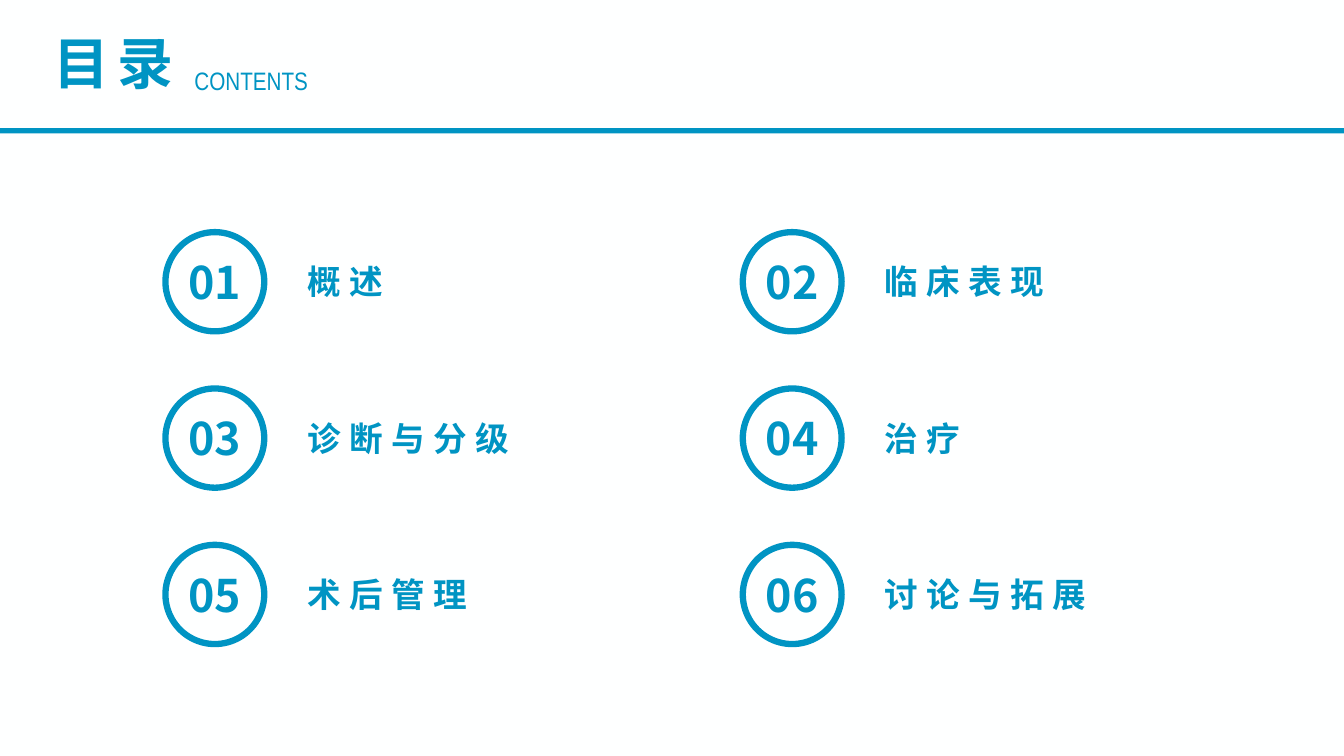
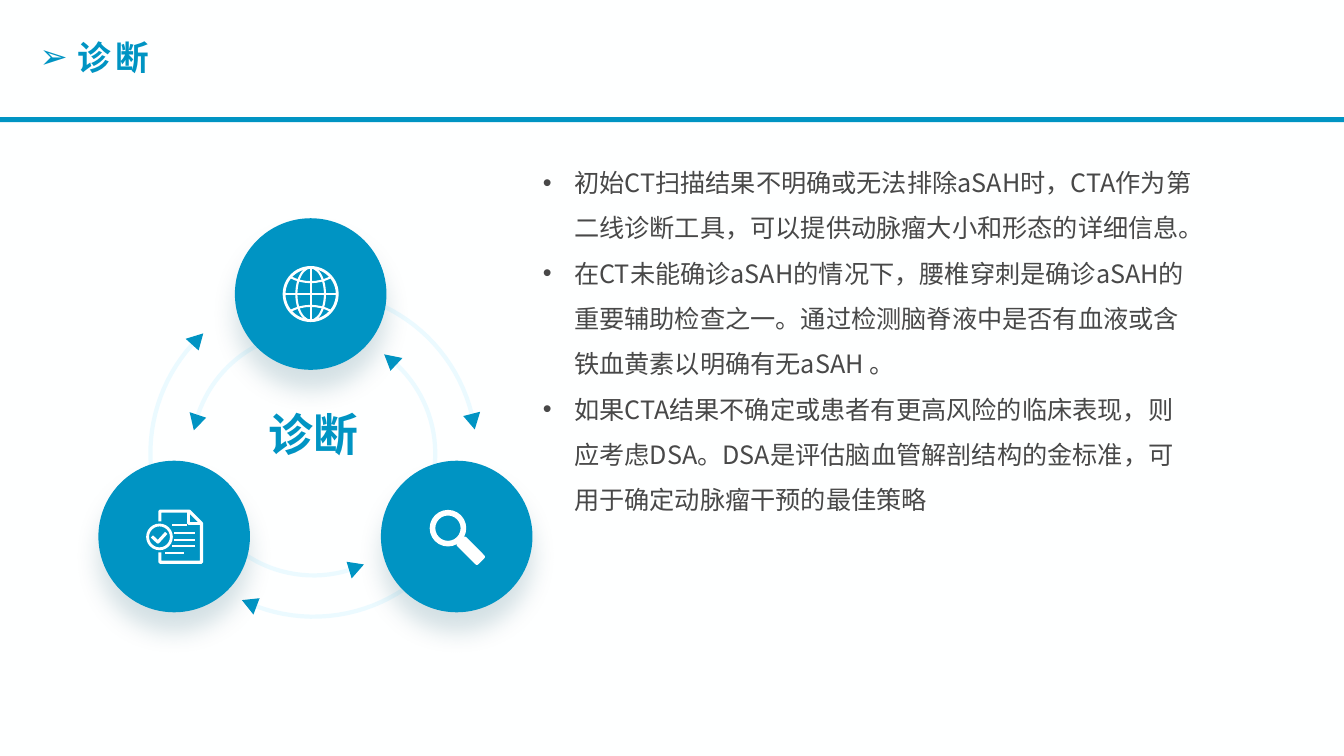
"""Build a contents slide and a diagnosis slide with a three-part cycle."""
import math

import lxml.etree
import pptx
import pptx.dml.color
import pptx.enum.shapes
import pptx.enum.text
import pptx.oxml.ns
import pptx.util

Cm = pptx.util.Cm
Pt = pptx.util.Pt
qn = pptx.oxml.ns.qn
rgb = pptx.dml.color.RGBColor.from_string
SHAPE = pptx.enum.shapes.MSO_SHAPE
ALIGN = pptx.enum.text.PP_ALIGN
ANCHOR = pptx.enum.text.MSO_ANCHOR

BLUE, WHITE, PALE, GREY = "0094C3", "FEFFFF", "C0F0FF", "484848"
SANS = "Noto Sans CJK SC"


def paint(sp, fill=None, line=None, width=1.0):
    """Set fill and outline, and remove the theme shadow."""
    sp.shadow.inherit = False
    if fill:
        sp.fill.solid()
        sp.fill.fore_color.rgb = rgb(fill)
    else:
        sp.fill.background()
    if line:
        sp.line.color.rgb = rgb(line)
        sp.line.width = Pt(width)
    else:
        sp.line.fill.background()
    return sp


def write(sp, *texts, size=24, color=BLUE, bold=True, font=SANS, spc=0,
          align=ALIGN.LEFT, bullet=None, indent=0.0, spacing=1.0):
    """Write one paragraph per text into a shape."""
    tf = sp.text_frame
    tf.word_wrap = True
    for i, text in enumerate(texts):
        p = tf.add_paragraph() if i else tf.paragraphs[0]
        if bullet:
            pPr = p._p.get_or_add_pPr()
            pPr.set("marL", str(Cm(indent)))
            pPr.set("indent", str(-Cm(indent)))
            lxml.etree.SubElement(pPr, qn("a:buFont"), typeface="Arial")
            lxml.etree.SubElement(pPr, qn("a:buChar"), char=bullet)
        p.alignment = align
        p.line_spacing = spacing
        r = p.add_run()
        r.text = text
        r.font.size = Pt(size)
        r.font.bold = bold
        r.font.name = font
        r.font.color.rgb = rgb(color)
        rPr = r._r.get_or_add_rPr()
        rPr.set("spc", str(spc * 100))
        lxml.etree.SubElement(rPr, qn("a:ea"), typeface=font)


prs = pptx.Presentation()
prs.slide_width, prs.slide_height = Cm(33.87), Cm(19.05)
background = prs.slide_master.background.fill
background.solid()
background.fore_color.rgb = rgb(WHITE)
for bar_y in (3.23, 2.95):
    s = prs.slides.add_slide(prs.slide_layouts[6])
    paint(s.shapes.add_shape(SHAPE.RECTANGLE, 0, Cm(bar_y), prs.slide_width, Cm(0.13)), BLUE)
contents, diagnosis = prs.slides

s = contents
write(s.shapes.add_textbox(Cm(1.09), Cm(0.6), Cm(4), Cm(1.96)), "目录", size=40, spc=6)
write(s.shapes.add_textbox(Cm(4.65), Cm(1.52), Cm(4.5), Cm(1.02)), "CONTENTS",
      size=18, bold=False, font="Arial Narrow")
topics = ["概述", "临床表现", "诊断与分级", "治疗", "术后管理", "讨论与拓展"]
for i, topic in enumerate(topics):
    row, col = divmod(i, 2)
    x, y = 4.17 + 14.55 * col, 5.85 + 3.94 * row
    sp = paint(s.shapes.add_shape(SHAPE.OVAL, Cm(x), Cm(y), Cm(2.49), Cm(2.5)), WHITE, BLUE, 4.5)
    tf = sp.text_frame
    tf.margin_left = tf.margin_right = tf.margin_top = tf.margin_bottom = 0
    tf.vertical_anchor = ANCHOR.MIDDLE
    write(sp, f"{i + 1:02d}", size=32, align=ALIGN.CENTER)
    write(s.shapes.add_textbox(Cm(x + 3.32), Cm(y + 0.61), Cm(8.28), Cm(1.27)), topic, spc=6)

s = diagnosis
write(s.shapes.add_textbox(Cm(0.75), Cm(0.81), Cm(9.63), Cm(1.27)), "诊断",
      spc=3, bullet="➢", indent=0.96)
write(s.shapes.add_textbox(Cm(5.99), Cm(10.12), Cm(3.81), Cm(1.63)), "诊断",
      size=32, align=ALIGN.CENTER)
write(s.shapes.add_textbox(Cm(13.43), Cm(3.71), Cm(16.94), Cm(10.64)),
      "初始CT扫描结果不明确或无法排除aSAH时，CTA作为第二线诊断工具，可以提供动脉瘤大小和形态的详细信息。",
      "在CT未能确诊aSAH的情况下，腰椎穿刺是确诊aSAH的重要辅助检查之一。通过检测脑脊液中是否有血液或含铁血黄素以明确有无aSAH 。",
      "如果CTA结果不确定或患者有更高风险的临床表现，则应考虑DSA。DSA是评估脑血管解剖结构的金标准，可用于确定动脉瘤干预的最佳策略",
      size=18, color=GREY, bold=False, bullet="•", indent=0.79, spacing=1.5)

cycle_x, cycle_y = 7.9, 11.43
arrows = [(4.11, 270, 351.5), (4.11, 33, 116), (4.11, 148, 227.5),
          (3.07, 271, 191), (3.07, 387, 305.5), (3.07, 150, 65.5)]
steps = 24
for radius, tail, tip in arrows:
    turn = 1 if tip > tail else -1
    base = tip - turn * math.degrees(0.4 / radius)
    arc = [(radius, tail + (base - tail) * i / steps) for i in range(steps + 1)]
    head = [(radius - 0.22, base), (radius + 0.22, base), (radius, tip)]
    for outline in (arc, head):
        points = [(Cm(cycle_x + r * math.cos(math.radians(a))), Cm(cycle_y + r * math.sin(math.radians(a))))
                  for r, a in outline]
        path = s.shapes.build_freeform(*points[0])
        path.add_line_segments(points[1:], close=outline is head)
        sp = path.convert_to_shape()
        if outline is head:
            paint(sp, BLUE)
        else:
            paint(sp, line=PALE, width=3)
            tint = sp.line._ln.find(".//" + qn("a:srgbClr"))
            lxml.etree.SubElement(tint, qn("a:alpha"), val="29000")

globe, lens, report = (7.83, 7.41), (11.51, 13.52), (4.39, 13.52)
for x, y in (globe, lens, report):
    sp = paint(s.shapes.add_shape(SHAPE.OVAL, Cm(x - 1.91), Cm(y - 1.91), Cm(3.82), Cm(3.82)), BLUE)
    shadow = lxml.etree.SubElement(sp._element.spPr.find(qn("a:effectLst")), qn("a:outerShdw"),
                                   blurRad=str(Pt(17)), dist=str(Pt(14)), dir="5400000",
                                   algn="t", rotWithShape="0")
    tint = lxml.etree.SubElement(shadow, qn("a:srgbClr"), val="004A62")
    lxml.etree.SubElement(tint, qn("a:alpha"), val="17000")

rings = [(globe, 0, 0, 0.67, 0.67, 2), (globe, 0, 0, 0.36, 0.67, 1.5),
         (lens, -0.22, -0.21, 0.39, 0.39, 4), (report, -0.37, 0.01, 0.3, 0.3, 2)]
for (x, y), dx, dy, rx, ry, width in rings:
    sp = s.shapes.add_shape(SHAPE.OVAL, Cm(x + dx - rx), Cm(y + dy - ry), Cm(2 * rx), Cm(2 * ry))
    paint(sp, line=WHITE, width=width)

for dy, start in ((-1.4, 63), (1.4, 243)):
    x, y = globe
    sp = s.shapes.add_shape(SHAPE.ARC, Cm(x - 1.1), Cm(y + dy - 1.1), Cm(2.2), Cm(2.2))
    sp.adjustments[0], sp.adjustments[1] = start * 0.6, (start + 54) * 0.6
    paint(sp, line=WHITE, width=1.5)

x, y = lens
handle = s.shapes.add_shape(SHAPE.ROUNDED_RECTANGLE, Cm(x - 0.02), Cm(y + 0.2), Cm(0.75), Cm(0.32))
handle.rotation = 45
paint(handle, WHITE)

strokes = [(globe, -0.67, 0, 0.67, 0), (globe, 0, -0.67, 0, 0.67),
           (report, -0.05, -0.28, 0.33, -0.28), (report, 0, -0.1, 0.53, -0.1),
           (report, 0, 0.08, 0.53, 0.08), (report, -0.05, 0.24, 0.53, 0.24),
           (report, -0.23, 0.42, 0.25, 0.42)]
for (x, y), x1, y1, x2, y2 in strokes:
    line = s.shapes.add_connector(pptx.enum.shapes.MSO_CONNECTOR.STRAIGHT,
                                  Cm(x + x1), Cm(y + y1), Cm(x + x2), Cm(y + y2))
    line.line.color.rgb = rgb(WHITE)
    line.line.width = Pt(1.5)
    lxml.etree.SubElement(line._element.spPr, qn("a:effectLst"))

page = [(-0.36, -0.38), (-0.36, -0.64), (0.38, -0.64), (0.69, -0.33), (0.69, 0.65), (-0.36, 0.65), (-0.36, 0.4)]
fold = [(0.37, -0.64), (0.37, -0.32), (0.69, -0.32)]
tick = [(-0.56, 0), (-0.41, 0.14), (-0.2, -0.09)]
for outline in (page, fold, tick):
    points = [(Cm(report[0] + dx), Cm(report[1] + dy)) for dx, dy in outline]
    path = s.shapes.build_freeform(*points[0])
    path.add_line_segments(points[1:], close=False)
    paint(path.convert_to_shape(), line=WHITE, width=2.25)

prs.save("out.pptx")
